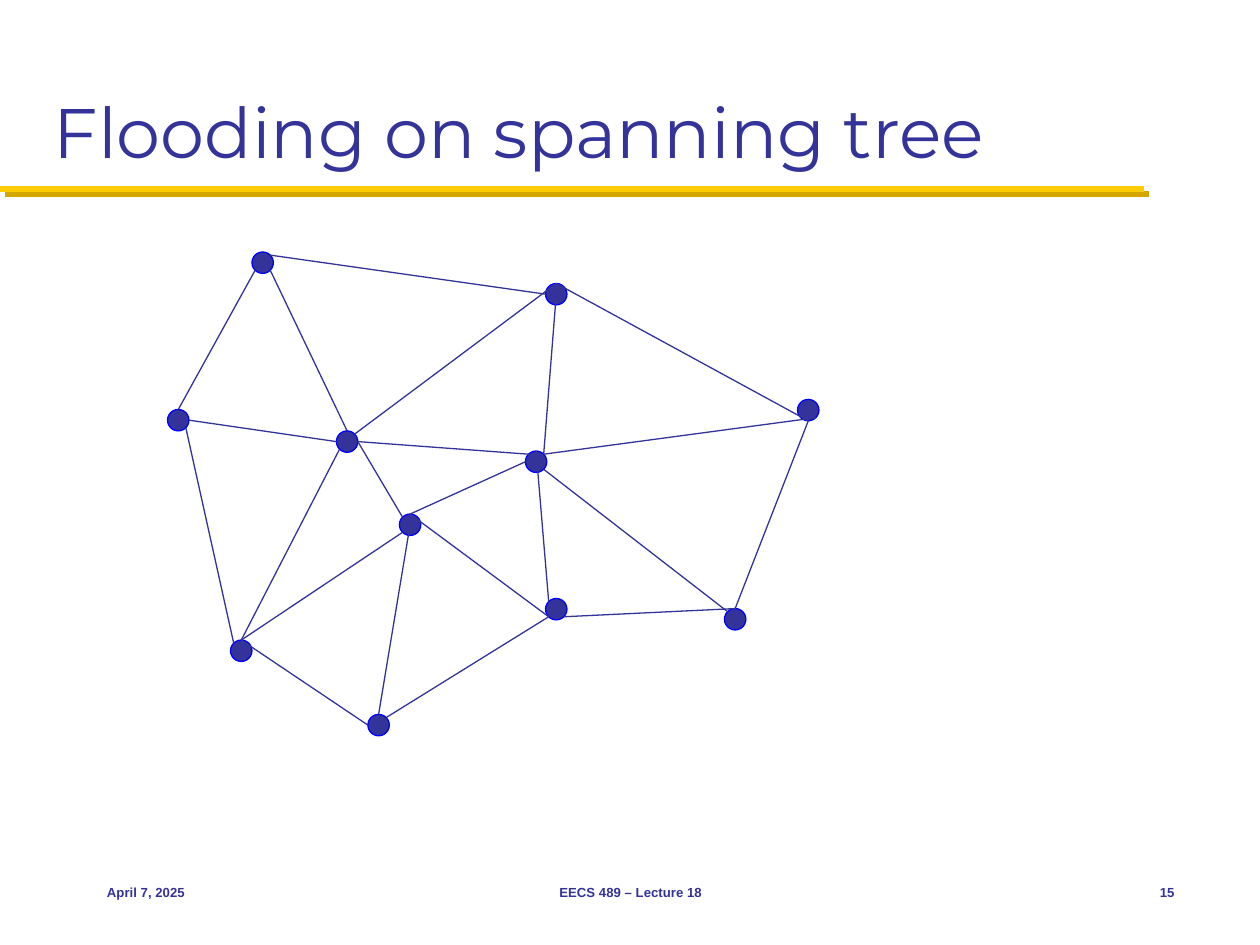
from lxml import etree
from pptx import Presentation
from pptx.dml.color import RGBColor
from pptx.enum.shapes import MSO_CONNECTOR, MSO_SHAPE
from pptx.enum.text import MSO_ANCHOR, PP_ALIGN
from pptx.oxml import parse_xml
from pptx.oxml.ns import nsdecls, qn
from pptx.util import Inches, Pt

STRAIGHT = MSO_CONNECTOR.STRAIGHT
OVAL = MSO_SHAPE.OVAL
MIDDLE, BOTTOM = MSO_ANCHOR.MIDDLE, MSO_ANCHOR.BOTTOM
LEFT, CENTER, RIGHT = PP_ALIGN.LEFT, PP_ALIGN.CENTER, PP_ALIGN.RIGHT

COLORS = {
    "navy": "333399",
    "outline": "0000FF",
    "rule": "FFCB05",
    "rule_shadow": "D3A600",
}

NODE_SIZE = 0.17
RADIUS = NODE_SIZE / 2
DIAGONAL = 0.06

# Offsets from a node's centre to the points where links attach
SITES = {
    "center": (0, 0),
    "top": (0, -RADIUS),
    "bottom": (0, RADIUS),
    "left": (-RADIUS, 0),
    "right": (RADIUS, 0),
    "top left": (-DIAGONAL, -DIAGONAL),
    "top right": (DIAGONAL, -DIAGONAL),
    "bottom left": (-DIAGONAL, DIAGONAL),
    "bottom right": (DIAGONAL, DIAGONAL),
}

# Left and top of each node
NODES = {
    "A": (2, 2),
    "B": (1.33, 3.25),
    "C": (4.33, 2.25),
    "D": (4.33, 4.75),
    "E": (2.92, 5.67),
    "F": (2.67, 3.42),
    "G": (6.33, 3.17),
    "H": (3.17, 4.08),
    "I": (1.83, 5.08),
    "J": (4.17, 3.58),
    "K": (5.75, 4.83),
}

LINKS = [
    ("A", "bottom right", "F", "top"),
    ("A", "bottom left", "B", "top"),
    ("B", "bottom right", "I", "top left"),
    ("F", "right", "H", "top left"),
    ("J", "bottom right", "K", "top left"),
    ("C", "center", "J", "top right"),
    ("C", "top", "G", "bottom"),
    ("G", "bottom", "K", "top"),
    ("I", "top", "E", "left"),
    ("H", "top", "D", "bottom left"),
    ("K", "top", "D", "bottom right"),
    ("J", "top", "D", "top left"),
    ("H", "center", "E", "top"),
    ("F", "right", "J", "top left"),
    ("B", "right", "F", "left"),
    ("I", "top", "H", "bottom left"),
    ("E", "top right", "D", "bottom left"),
    ("I", "top", "F", "bottom left"),
    ("H", "top", "J", "left"),
    ("J", "top right", "G", "bottom right"),
    ("A", "top right", "C", "left"),
    ("F", "top right", "C", "top"),
]


def rgb(name):
    return RGBColor.from_string(COLORS[name])


def add_line(shapes, start, end, color, width):
    """Draw a straight line and return its empty effect list."""
    line = shapes.add_connector(STRAIGHT, *map(Inches, start + end))
    line.line.color.rgb = rgb(color)
    line.line.width = Pt(width)
    return etree.SubElement(line._element.spPr, qn("a:effectLst"))


def add_title_rule(shapes):
    effects = add_line(shapes, (0, 1.5), (9.08, 1.5), "rule", 3.5)
    effects.append(parse_xml(
        f'<a:outerShdw {nsdecls("a")} dist="{Pt(4.2)}" dir="2700000" '
        f'algn="ctr" rotWithShape="0">'
        f'<a:srgbClr val="{COLORS["rule_shadow"]}"/></a:outerShdw>'))


def add_text(shapes, text, box, font, size, anchor, align=LEFT, bold=False):
    frame = shapes.add_textbox(*map(Inches, box)).text_frame
    frame.word_wrap = True
    frame.vertical_anchor = anchor
    frame.text = text
    paragraph = frame.paragraphs[0]
    paragraph.alignment = align
    run_font = paragraph.runs[0].font
    run_font.name = font
    run_font.size = Pt(size)
    run_font.bold = bold
    run_font.color.rgb = rgb("navy")


def add_node(shapes, left, top):
    node = shapes.add_shape(OVAL, *map(Inches, (left, top, NODE_SIZE, NODE_SIZE)))
    node.shadow.inherit = False
    node.fill.solid()
    node.fill.fore_color.rgb = rgb("navy")
    node.line.color.rgb = rgb("outline")
    node.line.width = Pt(0.75)


def site_point(node, site):
    left, top = NODES[node]
    dx, dy = SITES[site]
    return left + RADIUS + dx, top + RADIUS + dy


def add_network(shapes):
    network = shapes.add_group_shape().shapes
    for left, top in NODES.values():
        add_node(network, left, top)
    for source, source_site, target, target_site in LINKS:
        add_line(network, site_point(source, source_site),
                 site_point(target, target_site), "navy", 0.75)


def add_footer(shapes):
    for text, left, width, align in (
        ("April 7, 2025", 0.75, 2.08, LEFT),
        ("EECS 489 – Lecture 18", 3.42, 3.17, CENTER),
        ("15", 8.75, 0.67, RIGHT),
    ):
        add_text(shapes, text, (left, 6.83, width, 0.5), "Arial", 7.5,
                 MIDDLE, align, bold=True)


def main():
    presentation = Presentation()
    presentation.slide_width = Inches(10)
    presentation.slide_height = Inches(7.5)
    shapes = presentation.slides.add_slide(presentation.slide_layouts[6]).shapes
    add_title_rule(shapes)
    add_text(shapes, "Flooding on spanning tree", (0.33, 0.17, 9.33, 1.25),
             "Montserrat", 40, BOTTOM)
    add_network(shapes)
    add_footer(shapes)
    presentation.save("out.pptx")


if __name__ == "__main__":
    main()
